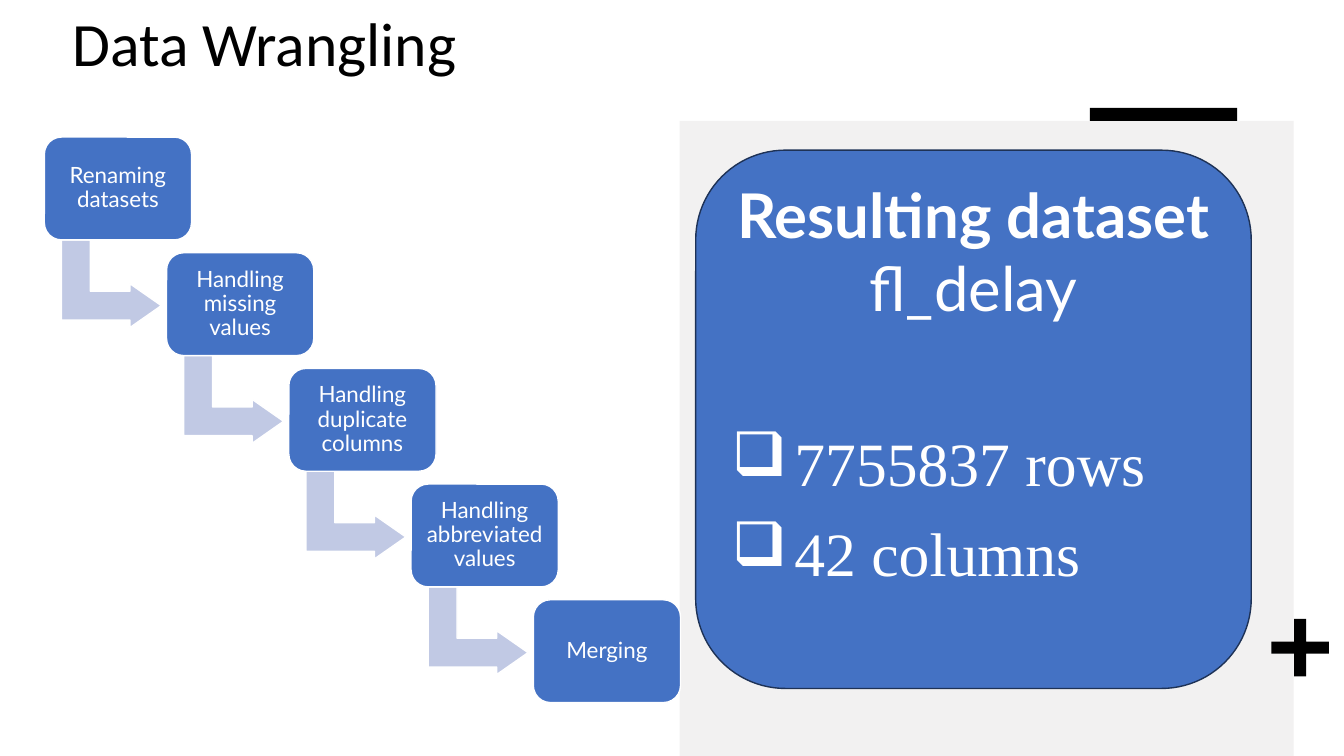
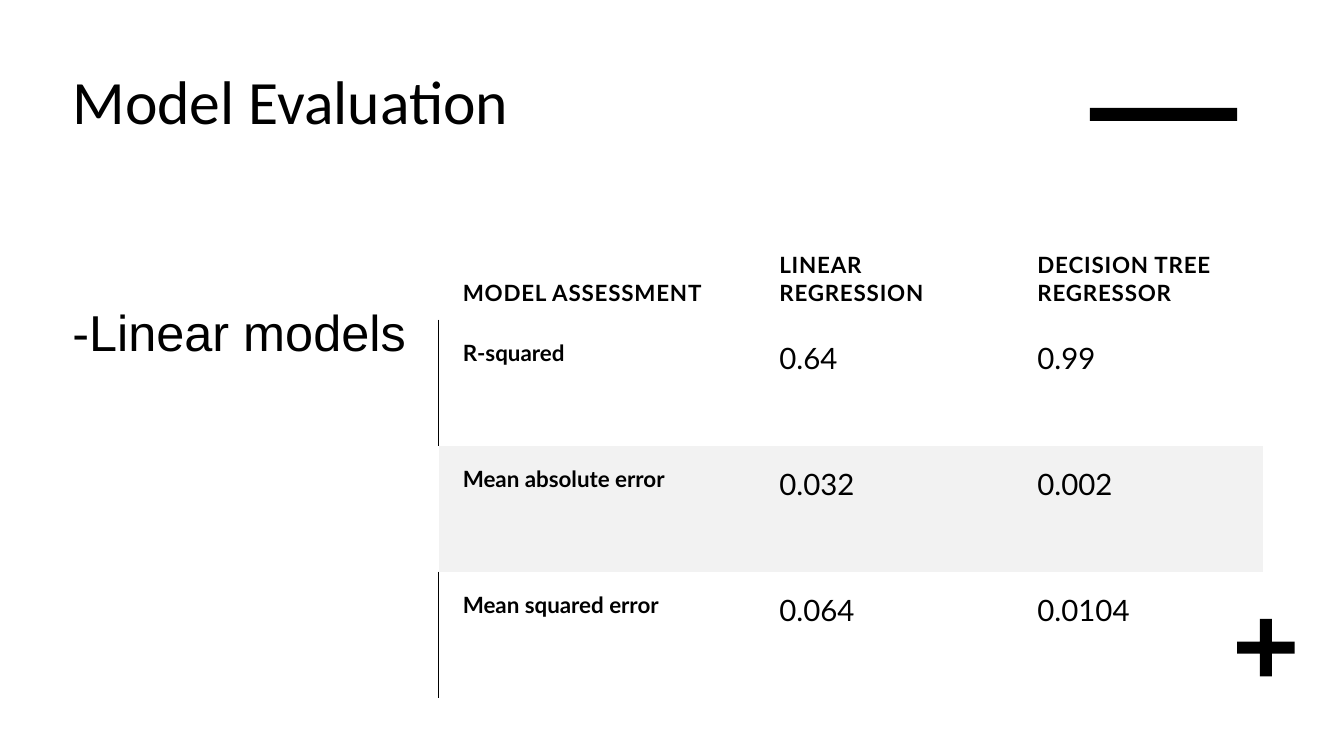
from lxml import etree
from pptx import Presentation
from pptx.dml.color import RGBColor
from pptx.enum.shapes import MSO_SHAPE as Shape
from pptx.enum.text import MSO_ANCHOR as Anchor, PP_ALIGN as Align
from pptx.oxml.ns import qn
from pptx.util import Inches, Pt

BLACK, WHITE = "000000", "FFFFFF"
BLUE, PALE_BLUE, NAVY = "4472C4", "C1C9E4", "1E3256"
PANEL_GRAY, BAND_GRAY = "F2F1F1", "F2F2F2"
NO_TABLE_STYLE = "{2D5ABB26-0587-4C30-8999-92F81FD0307C}"

STEPS = ["Renaming datasets", "Handling missing values",
         "Handling duplicate columns", "Handling abbreviated values", "Merging"]
SCORES = [
    ["MODEL ASSESSMENT", "LINEAR REGRESSION", "DECISION TREE REGRESSOR"],
    ["R-squared", "0.64", "0.99"],
    ["Mean absolute error", "0.032", "0.002"],
    ["Mean squared error", "0.064", "0.0104"],
]


def rgb(value):
    return RGBColor.from_string(value)


def add_block(slide, kind, box, fill, line=None, adjustments=()):
    block = slide.shapes.add_shape(kind, *map(Inches, box))
    block.shadow.inherit = False
    block.fill.solid()
    block.fill.fore_color.rgb = rgb(fill)
    if line:
        block.line.color.rgb = rgb(line)
        block.line.width = Pt(1)
    else:
        block.line.fill.background()
    for index, value in enumerate(adjustments):
        block.adjustments[index] = value
    return block


def set_margins(target, left, top, right, bottom):
    target.margin_left, target.margin_top = Inches(left), Inches(top)
    target.margin_right, target.margin_bottom = Inches(right), Inches(bottom)


def write(paragraph, text, size, font, color, bold=False, align=Align.LEFT,
          line=None, after=0):
    paragraph.text = text
    paragraph.alignment = align
    paragraph.space_after = Pt(after)
    if line:
        paragraph.line_spacing = line
    paragraph.font.size = Pt(size)
    paragraph.font.name = font
    paragraph.font.bold = bold
    paragraph.font.color.rgb = rgb(color)


def add_text(slide, box, text, size, font):
    frame = slide.shapes.add_textbox(*map(Inches, box)).text_frame
    frame.word_wrap = True
    write(frame.paragraphs[0], text, size, font, BLACK)


def add_bullet(paragraph, symbol, indent):
    props = paragraph._p.get_or_add_pPr()
    props.set("marL", str(Inches(indent)))
    props.set("indent", str(-Inches(indent)))
    bullet = etree.Element(qn("a:buChar"), char=symbol)
    props.find(qn("a:defRPr")).addprevious(bullet)


def start_slide(deck, title, title_box, plus_left):
    slide = deck.slides.add_slide(deck.slide_layouts[6])
    add_text(slide, title_box, title, 44, "Calibri")
    add_block(slide, Shape.CROSS, (plus_left, 6.14, 0.57, 0.57), BLACK,
              adjustments=[0.395])
    add_block(slide, Shape.RECTANGLE, (10.81, 1.07, 1.46, 0.13), BLACK)
    return slide


def add_staircase(slide, box):
    left, top, width, height = box
    step_w, step_h = 1.46, 1.02
    pitch_x = (width - step_w) / (len(STEPS) - 1)
    pitch_y = (height - step_h) / (len(STEPS) - 1)
    for index, label in enumerate(STEPS):
        x, y = left + index * pitch_x, top + index * pitch_y
        if index < len(STEPS) - 1:
            arrow = add_block(slide, Shape.BENT_UP_ARROW,
                              (x + 0.23, y + 0.96, 0.87, 0.99), PALE_BLUE,
                              WHITE, [0.328, 0.25, 0.358])
            arrow.rotation = 90
        step = add_block(slide, Shape.ROUNDED_RECTANGLE,
                         (x, y, step_w, step_h), BLUE, WHITE)
        frame = step.text_frame
        frame.word_wrap = True
        frame.vertical_anchor = Anchor.MIDDLE
        set_margins(frame, 0.07, 0.07, 0.07, 0.07)
        write(frame.paragraphs[0], label, 16, "Lato", WHITE,
              align=Align.CENTER, line=0.9)


def add_result(slide, box):
    card = add_block(slide, Shape.ROUNDED_RECTANGLE, box, BLUE, NAVY)
    frame = card.text_frame
    frame.word_wrap = True
    frame.vertical_anchor = Anchor.TOP
    set_margins(frame, 0.1, 0, 0.1, 0)
    write(frame.paragraphs[0], "Resulting dataset", 44, "Lato", WHITE, True,
          Align.CENTER)
    write(frame.add_paragraph(), "fl_delay", 44, "Lato", WHITE,
          align=Align.CENTER, after=68)
    for fact in ("7755837 rows", "42 columns"):
        paragraph = frame.add_paragraph()
        write(paragraph, fact, 44, "Times New Roman", WHITE, line=1.07, after=8)
        add_bullet(paragraph, "❑", 0.62)


def add_left_border(cell):
    border = etree.Element(qn("a:lnL"), w=str(Pt(1)))
    fill = etree.SubElement(border, qn("a:solidFill"))
    etree.SubElement(fill, qn("a:srgbClr"), val=BLACK)
    cell._tc.get_or_add_tcPr().insert(0, border)


def fill_cell(cell, text, row, column):
    header, banded = row == 0, row == 2
    label = header or column == 0
    set_margins(cell, 0.24, 0.13 if header else 0.18, 0.29, 0.13)
    cell.vertical_anchor = Anchor.BOTTOM if header else Anchor.TOP
    paragraph = cell.text_frame.paragraphs[0]
    write(paragraph, text, 16 if label else 21, "Lato", BLACK, label, line=1.07)
    if header:
        paragraph._p.pPr.find(qn("a:defRPr")).set("spc", "60")
    if banded:
        cell.fill.solid()
        cell.fill.fore_color.rgb = rgb(BAND_GRAY)
    else:
        cell.fill.background()
    if column == 0 and not header and not banded:
        add_left_border(cell)


def add_scores(slide, box):
    frame = slide.shapes.add_table(len(SCORES), len(SCORES[0]),
                                   *map(Inches, box))
    table = frame.table
    table.first_row = table.horz_banding = False
    table._tbl.tblPr.find(qn("a:tableStyleId")).text = NO_TABLE_STYLE
    for column, width in zip(table.columns, (3.14, 2.56, 2.48)):
        column.width = Inches(width)
    for row, height in zip(table.rows, (1.97, 1.25, 1.25, 1.25)):
        row.height = Inches(height)
    for row, values in enumerate(SCORES):
        for column, text in enumerate(values):
            fill_cell(table.cell(row, column), text, row, column)


def build_wrangling(deck):
    slide = start_slide(deck, "Data Wrangling", (0.62, 0, 9.04, 1.46), 12.61)
    add_block(slide, Shape.RECTANGLE, (6.74, 1.2, 6.09, 6.3), PANEL_GRAY)
    slide.shapes._spTree.insert(2, slide.shapes[-1]._element)
    add_staircase(slide, (0.44, 1.36, 6.31, 5.61))
    add_result(slide, (6.9, 1.49, 5.51, 5.34))


def build_evaluation(deck):
    slide = start_slide(deck, "Model Evaluation", (0.62, 0.58, 7.32, 1.06), 12.27)
    add_text(slide, (0.62, 2.94, 3.95, 3.49), "-Linear models", 36, "Arial")
    add_scores(slide, (4.35, 1.2, 8.18, 5.72))


def main():
    deck = Presentation()
    deck.slide_width, deck.slide_height = Inches(13.33), Inches(7.5)
    build_wrangling(deck)
    build_evaluation(deck)
    deck.save("out.pptx")


if __name__ == "__main__":
    main()
